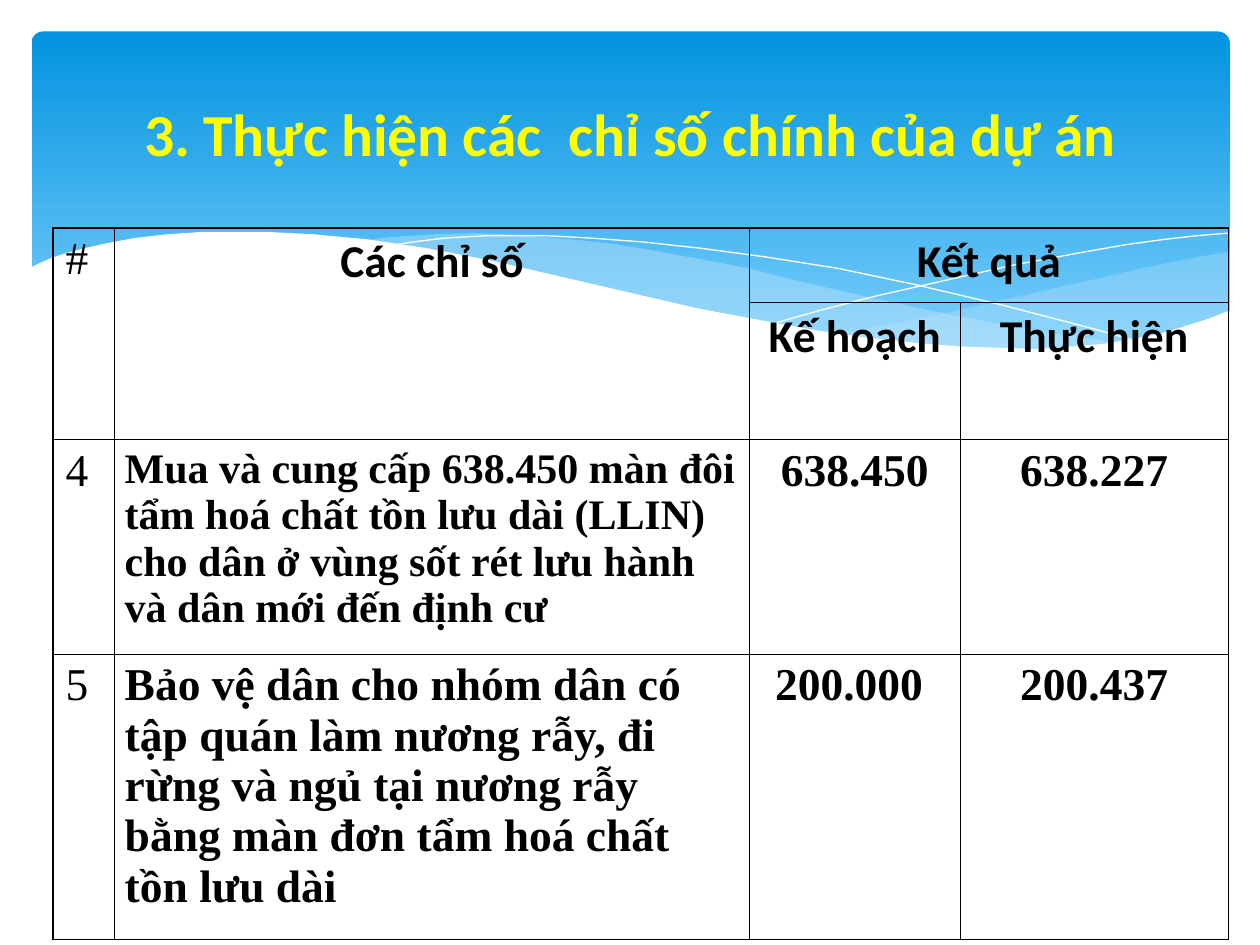
from lxml import etree
from pptx import Presentation
from pptx.dml.color import RGBColor
from pptx.enum.shapes import MSO_SHAPE
from pptx.enum.text import MSO_ANCHOR, PP_ALIGN
from pptx.oxml.ns import qn
from pptx.util import Inches, Pt

ROUNDED = MSO_SHAPE.ROUNDED_RECTANGLE
LEFT, CENTER = PP_ALIGN.LEFT, PP_ALIGN.CENTER
MIDDLE, TOP = MSO_ANCHOR.MIDDLE, MSO_ANCHOR.TOP

WHITE = RGBColor(0xFF, 0xFF, 0xFF)
BLACK = RGBColor(0, 0, 0)
YELLOW = RGBColor(0xFF, 0xFF, 0)
SKY_TOP = RGBColor(0x02, 0x93, 0xE0)
SKY_BOTTOM = RGBColor(0x83, 0xD3, 0xFE)
PALE_BLUE = RGBColor(0xC6, 0xE7, 0xFC)
SANS, SERIF = "Calibri", "Times New Roman"
NO_GRID_STYLE = "{2D5ABB26-0587-4C30-8999-92F81FD0307C}"

# Wave outlines, in hundredths of an inch
RIGHT_WAVE = [
    (976, 200), (962, 202), (935, 207), (906, 213), (876, 220), (832, 230),
    (779, 242), (729, 253), (683, 262), (661, 265), (691, 269), (718, 273),
    (745, 275), (769, 277), (803, 278), (835, 277), (863, 275), (889, 272),
    (913, 267), (935, 262), (949, 257), (963, 252), (976, 247)]
MIDDLE_WAVE = [
    (893, 273), (866, 269), (807, 260), (741, 247), (668, 231), (629, 222),
    (598, 214), (569, 208), (541, 203), (514, 198), (489, 194), (464, 191),
    (420, 187), (380, 185), (344, 186), (313, 188), (286, 191), (323, 196),
    (362, 203), (404, 211), (449, 222), (491, 232), (530, 240), (584, 252),
    (634, 261), (680, 268), (722, 274), (761, 277), (796, 279), (828, 278),
    (857, 277), (893, 273)]
FALLING_LINE = [
    (309, 195), (328, 192), (353, 189), (387, 187), (433, 187), (469, 189),
    (510, 192), (556, 197), (608, 204), (665, 213), (727, 226), (795, 242),
    (868, 261), (907, 272)]
RISING_LINE = [
    (613, 257), (652, 246), (695, 235), (748, 223), (806, 210), (866, 199),
    (895, 194), (924, 190), (951, 187), (975, 185)]
WHITE_WAVE = [
    (977, 246), (959, 253), (940, 259), (920, 265), (899, 269), (875, 273),
    (850, 275), (823, 277), (793, 276), (761, 275), (726, 272), (688, 268),
    (647, 262), (603, 254), (555, 245), (503, 233), (447, 220), (391, 207),
    (339, 197), (292, 190), (250, 186), (211, 184), (161, 184), (132, 186),
    (106, 189), (85, 193), (67, 197), (52, 201), (40, 205), (29, 210),
    (23, 213), (23, 329), (977, 329)]

# Table content: text, font, size, bold, alignment, side inset
COL_WIDTHS = [0.49, 5.04, 1.67, 2.13]
ROW_HEIGHTS = [0.59, 1.09, 1.47, 2.1]
MERGES = [((0, 0), (1, 0)), ((0, 1), (1, 1)), ((0, 2), (0, 3))]


def number(text):
    return text, SERIF, 26, False, LEFT, 0.1


def heading(text):
    return text, SANS, 26, True, CENTER, 0.1


def indicator(text, size):
    return text, SERIF, size, True, LEFT, 0.08


def result(text):
    return text, SERIF, 26, True, CENTER, 0.08


ROWS = [
    [number("#"), heading("Các chỉ số"), heading("Kết quả"), None],
    [None, None, heading("Kế hoạch"), heading("Thực hiện")],
    [number("4"),
     indicator("Mua và cung cấp 638.450 màn đôi tẩm hoá chất tồn lưu dài "
               "(LLIN) cho dân ở vùng sốt rét lưu hành và dân mới đến định cư", 24),
     result("638.450"), result("638.227")],
    [number("5"),
     indicator("Bảo vệ dân cho nhóm dân có tập quán làm nương rẫy, đi rừng và "
               "ngủ tại nương rẫy bằng màn đơn tẩm hoá chất tồn lưu dài", 26),
     result("200.000 "), result("200.437")],
]


def add_run(p, text, font, size, color, bold):
    r = p.add_run()
    r.text = text
    r.font.name = font
    r.font.size = Pt(size)
    r.font.color.rgb = color
    r.font.bold = bold


def add_sky(s):
    sp = s.shapes.add_shape(ROUNDED, Inches(0.25), Inches(0.25), Inches(9.51), Inches(2.7))
    sp.adjustments[0] = 0.034
    sp.shadow.inherit = False
    sp.line.fill.background()
    sp.fill.gradient()
    sp.fill.gradient_angle = 270
    for stop, color, position in zip(sp.fill.gradient_stops, (SKY_TOP, SKY_BOTTOM), (0, 1)):
        stop.color.rgb = color
        stop.position = position


def add_freeform(s, points, close):
    builder = s.shapes.build_freeform(*points[0], scale=Inches(0.01))
    builder.add_line_segments(points[1:], close=close)
    sp = builder.convert_to_shape()
    sp.shadow.inherit = False
    return sp


def add_wave(s, points, color, opacity=100):
    sp = add_freeform(s, points, True)
    sp.line.fill.background()
    sp.fill.solid()
    sp.fill.fore_color.rgb = color
    if opacity < 100:
        clr = sp.fill._xPr.find(".//" + qn("a:srgbClr"))
        etree.SubElement(clr, qn("a:alpha"), val=str(opacity * 1000))


def add_curve(s, points):
    sp = add_freeform(s, points, False)
    sp.fill.background()
    sp.line.color.rgb = WHITE
    sp.line.width = Pt(0)


def add_title(s, text):
    sp = s.shapes.add_textbox(Inches(0.5), Inches(0.37), Inches(9), Inches(1.37))
    tf = sp.text_frame
    tf.word_wrap = True
    tf.vertical_anchor = MIDDLE
    p = tf.paragraphs[0]
    p.alignment = CENTER
    add_run(p, text, SANS, 34, YELLOW, True)


def set_borders(cell, widths):
    tc_pr = cell._tc.get_or_add_tcPr()
    for i, (side, width) in enumerate(zip(("lnL", "lnR", "lnT", "lnB"), widths)):
        ln = etree.Element(qn("a:" + side), w=str(Pt(width)))
        fill = etree.SubElement(ln, qn("a:solidFill"))
        etree.SubElement(fill, qn("a:srgbClr"), val=str(BLACK))
        tc_pr.insert(i, ln)


def fill_cell(cell, content):
    text, font, size, bold, align, inset = content
    cell.margin_left = cell.margin_right = Inches(inset)
    cell.margin_top = cell.margin_bottom = Inches(0.05)
    cell.vertical_anchor = TOP
    p = cell.text_frame.paragraphs[0]
    p.alignment = align
    add_run(p, text, font, size, BLACK, bold)


def add_results_table(s):
    n_rows, n_cols = len(ROW_HEIGHTS), len(COL_WIDTHS)
    table = s.shapes.add_table(n_rows, n_cols, Inches(0.42), Inches(1.81),
                               Inches(sum(COL_WIDTHS)), Inches(sum(ROW_HEIGHTS))).table
    table.first_row = table.horz_banding = False
    table._tbl.tblPr.find(qn("a:tableStyleId")).text = NO_GRID_STYLE
    for col, width in zip(table.columns, COL_WIDTHS):
        col.width = Inches(width)
    for row, height in zip(table.rows, ROW_HEIGHTS):
        row.height = Inches(height)
    for first, last in MERGES:
        table.cell(*first).merge(table.cell(*last))
    for i, row in enumerate(ROWS):
        for j, content in enumerate(row):
            cell = table.cell(i, j)
            cell.fill.background()
            if content is None:
                continue
            fill_cell(cell, content)
            # Thicker frame on the outer edges
            outer = (j == 0, j + cell.span_width == n_cols,
                     i == 0, i + cell.span_height == n_rows)
            set_borders(cell, [1.08 if edge else 0.45 for edge in outer])


def main():
    prs = Presentation()
    prs.slide_width, prs.slide_height = Inches(10), Inches(7.5)
    s = prs.slides.add_slide(prs.slide_layouts[6])

    # Wavy header
    add_sky(s)
    add_wave(s, RIGHT_WAVE, PALE_BLUE, 29)
    add_wave(s, MIDDLE_WAVE, PALE_BLUE, 40)
    add_curve(s, FALLING_LINE)
    add_curve(s, RISING_LINE)
    add_wave(s, WHITE_WAVE, WHITE)

    # Title and table
    add_title(s, "3. Thực hiện các  chỉ số chính của dự án")
    add_results_table(s)
    prs.save("out.pptx")


if __name__ == "__main__":
    main()
